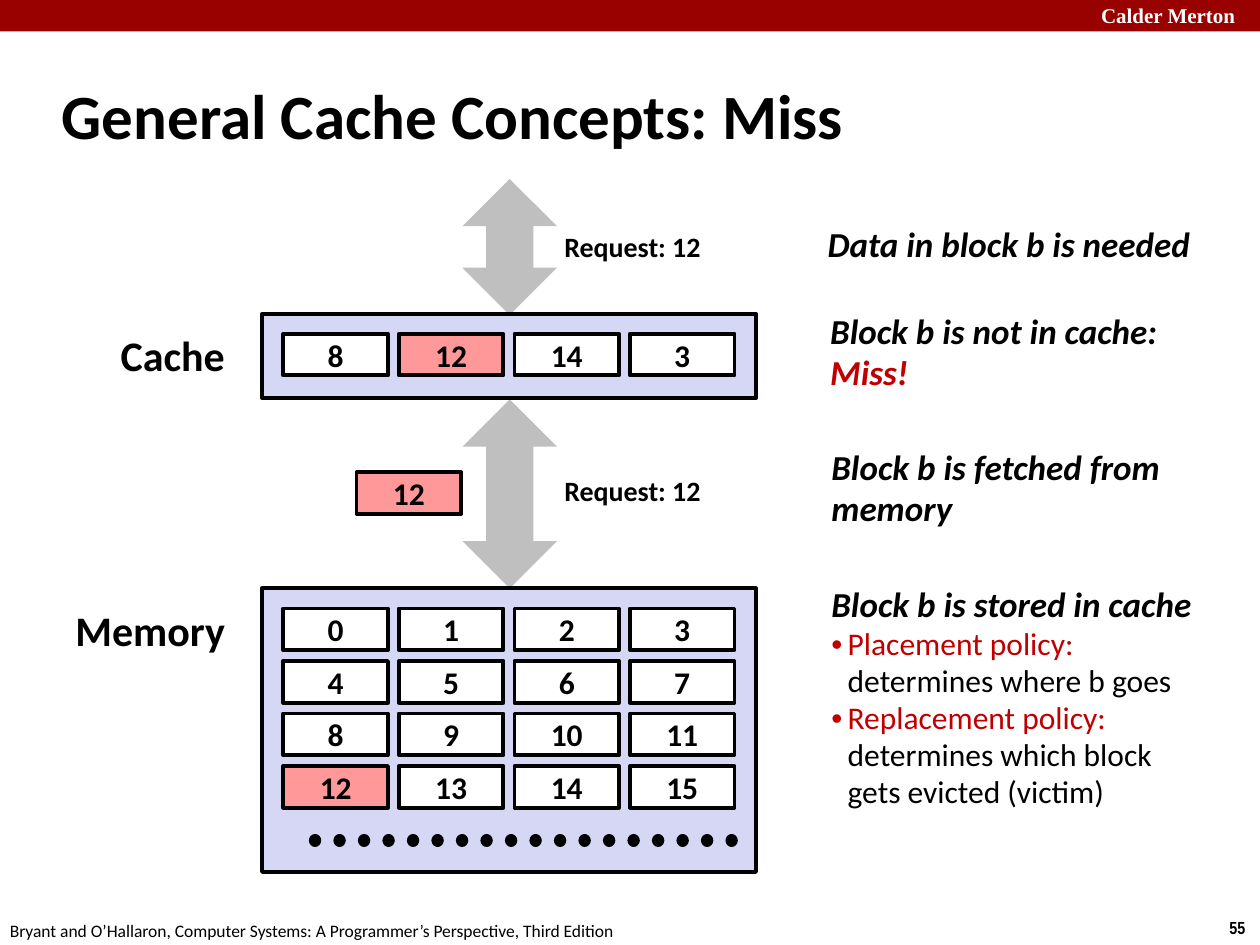
from dataclasses import dataclass
from typing import NamedTuple

from lxml.etree import SubElement
from pptx import Presentation
from pptx.dml.color import RGBColor
from pptx.enum.dml import MSO_LINE_DASH_STYLE as Dash
from pptx.enum.shapes import MSO_CONNECTOR as Connector, MSO_SHAPE as Preset
from pptx.enum.text import MSO_ANCHOR as Anchor, PP_ALIGN as Align
from pptx.oxml.ns import qn
from pptx.util import Inches, Pt

BLACK, WHITE = "000000", "FFFFFF"
BANNER_RED, ACCENT_RED = "990000", "C00000"
ARROW_GRAY, STORE_BLUE, BLOCK_PINK = "BFBFBF", "D6D6F5", "FF9999"
BLOCK_W, BLOCK_H = 0.83, 0.33
COLUMN_STEP, ROW_STEP = 11 / 12, 5 / 12
GRID_LEFT, CACHE_TOP, MEMORY_TOP = 2.25, 2.65, 4.83


class Box(NamedTuple):
    left: float
    top: float
    width: float
    height: float


class Span(NamedTuple):
    text: str
    color: str = BLACK


@dataclass
class Label:
    box: Box
    text: str
    size: float
    bold: bool = True
    font: str = "Calibri"
    color: str = BLACK
    align: Align = Align.LEFT


@dataclass
class Step:
    box: Box
    heading: list[Span]
    policies: list[list[Span]]


def rgb(color: str) -> RGBColor:
    return RGBColor.from_string(color)


def lengths(box: Box) -> list[int]:
    return [Inches(value) for value in box]


def write(paragraph, text: str, *, size: float, color: str = BLACK, bold: bool = False,
          italic: bool = False, font: str = "Calibri", align: Align = Align.LEFT) -> None:
    """Add text to a paragraph; each newline becomes a line break."""
    paragraph.alignment = align
    for number, line in enumerate(text.split("\n")):
        if number:
            paragraph.add_line_break()
        if line:
            run = paragraph.add_run()
            run.text = line
            run.font.size, run.font.name = Pt(size), font
            run.font.bold, run.font.italic = bold, italic
            run.font.color.rgb = rgb(color)


def add_frame(slide, box: Box, anchor: Anchor = Anchor.TOP):
    frame = slide.shapes.add_textbox(*lengths(box)).text_frame
    frame.word_wrap = False
    frame.vertical_anchor = anchor
    return frame


def add_label(slide, label: Label) -> None:
    write(add_frame(slide, label.box).paragraphs[0], label.text, size=label.size,
          bold=label.bold, font=label.font, color=label.color, align=label.align)


def add_filled(slide, preset: Preset, box: Box, fill: str, outlined: bool = False):
    shape = slide.shapes.add_shape(preset, *lengths(box))
    shape.shadow.inherit = False
    shape.fill.solid()
    shape.fill.fore_color.rgb = rgb(fill)
    if outlined:
        shape.line.color.rgb = rgb(BLACK)
        shape.line.width = Pt(2.25)
    else:
        shape.line.fill.background()
    return shape


def add_block(slide, number: int, left: float, top: float) -> None:
    fill = BLOCK_PINK if number == 12 else WHITE
    block = add_filled(slide, Preset.RECTANGLE, Box(left, top, BLOCK_W, BLOCK_H), fill, True)
    block.text_frame.vertical_anchor = Anchor.MIDDLE
    write(block.text_frame.paragraphs[0], str(number), size=18, bold=True, align=Align.CENTER)


def add_block_grid(slide, numbers: list[int], top: float) -> None:
    for index, number in enumerate(numbers):
        row, column = divmod(index, 4)
        add_block(slide, number, GRID_LEFT + column * COLUMN_STEP, top + row * ROW_STEP)


def add_dots(slide, left: float, right: float, y: float) -> None:
    dots = slide.shapes.add_connector(
        Connector.STRAIGHT, Inches(left), Inches(y), Inches(right), Inches(y))
    dots.line.color.rgb = rgb(BLACK)
    dots.line.width = Pt(7)
    dots.line.dash_style = Dash.ROUND_DOT
    properties = dots._element.spPr
    properties.find(qn("a:ln")).set("cap", "rnd")
    SubElement(properties, qn("a:effectLst"))


def add_bullet(paragraph) -> None:
    properties = paragraph._p.get_or_add_pPr()
    properties.set("marL", str(Inches(0.13)))
    properties.set("indent", str(-Inches(0.13)))
    SubElement(properties, qn("a:buFont")).set("typeface", "Arial")
    SubElement(properties, qn("a:buChar")).set("char", "•")


def add_step(slide, step: Step) -> None:
    frame = add_frame(slide, step.box, Anchor.MIDDLE)
    for index, span in enumerate(step.heading):
        paragraph = frame.add_paragraph() if index else frame.paragraphs[0]
        paragraph.line_spacing = 0.98
        write(paragraph, span.text, size=20, color=span.color, bold=True, italic=True)
    for policy in step.policies:
        paragraph = frame.add_paragraph()
        paragraph.line_spacing = 0.98
        for span in policy:
            write(paragraph, span.text, size=18, color=span.color)
        add_bullet(paragraph)


LABELS = [
    Label(Box(8.64, -0.03, 1.43, 0.3), "Calder Merton", 12, font="Times New Roman", color=WHITE),
    Label(Box(9.66, 7.23, 0.34, 0.27), "55", 10, font="Arial Narrow"),
    Label(Box(-0.02, 7.25, 5.08, 0.27), "Bryant and O’Hallaron, Computer Systems: "
          "A Programmer’s Perspective, Third Edition", 10, bold=False),
    Label(Box(0.86, 2.57, 1.04, 0.5), "Cache", 24),
    Label(Box(0.5, 4.75, 1.4, 0.5), "Memory", 24),
    *(Label(Box(4.37, top, 1.3, 0.37), "Request: 12", 16, align=Align.CENTER)
      for top in (1.77, 3.71)),
]

STEPS = [
    Step(Box(6.47, 1.73, 3.09, 0.43), [Span("Data in block b is needed")], []),
    Step(Box(6.49, 2.42, 2.81, 0.76),
         [Span("Block b is not in cache:"), Span("Miss!", ACCENT_RED)], []),
    Step(Box(6.5, 3.5, 2.83, 0.76), [Span("Block b is fetched from"), Span("memory")], []),
    Step(Box(6.5, 4.58, 3.07, 1.92), [Span("Block b is stored in cache")], [
        [Span("Placement policy:\n", ACCENT_RED), Span("determines where b goes")],
        [Span("Replacement policy:\n", ACCENT_RED),
         Span("determines which block\ngets evicted (victim)")],
    ]),
]


def main() -> None:
    deck = Presentation()
    deck.slide_width, deck.slide_height = Inches(10), Inches(7.5)
    slide = deck.slides.add_slide(deck.slide_layouts[5])

    # Banner and title
    add_filled(slide, Preset.RECTANGLE, Box(0, 0, 10, 0.25), BANNER_RED)
    title = slide.shapes.title
    title.left, title.top, title.width, title.height = lengths(Box(0.39, 0.49, 8.3, 0.83))
    title.text_frame.vertical_anchor = Anchor.MIDDLE
    write(title.text_frame.paragraphs[0], "General Cache Concepts: Miss", size=36, bold=True)

    # Transfers between processor, cache and memory
    for top, height in ((1.42, 1.08), (3.17, 1.5)):
        add_filled(slide, Preset.UP_DOWN_ARROW, Box(3.67, top, 0.75, height), ARROW_GRAY)

    # Memory and cache with their blocks
    for top, height in ((4.67, 2.25), (2.49, 0.67)):
        add_filled(slide, Preset.RECTANGLE, Box(2.08, top, 3.92, height), STORE_BLUE, True)
    add_block_grid(slide, list(range(16)), MEMORY_TOP)
    add_block_grid(slide, [8, 12, 14, 3], CACHE_TOP)
    add_dots(slide, 2.5, 5.83, 6.67)

    # Block on its way to the cache
    add_block(slide, 12, 2.83, 3.75)

    # Labels and explanation
    for label in LABELS:
        add_label(slide, label)
    for step in STEPS:
        add_step(slide, step)

    deck.save("out.pptx")


if __name__ == "__main__":
    main()
